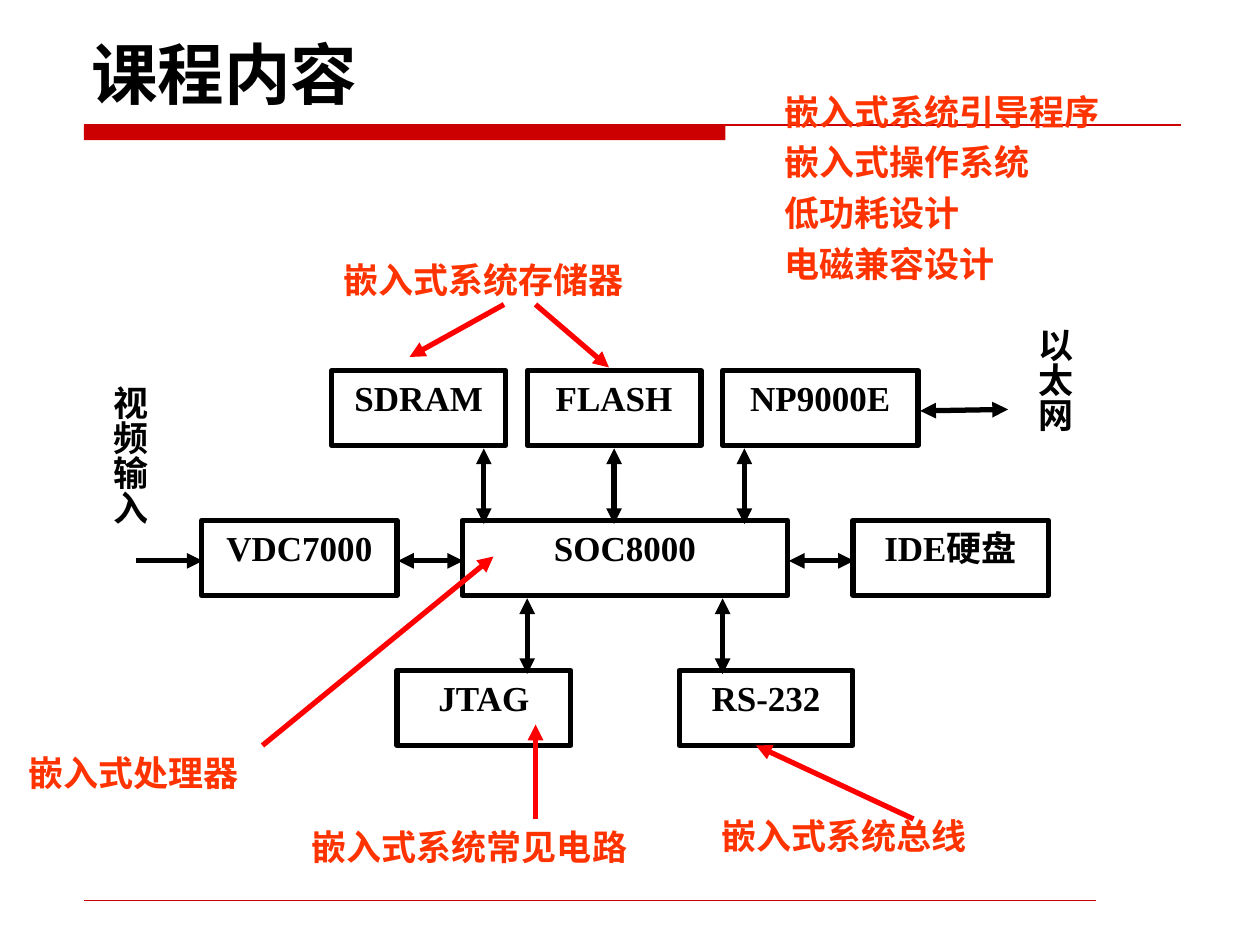
from dataclasses import dataclass

from lxml import etree
from pptx import Presentation, util as u
from pptx.dml.color import RGBColor
from pptx.enum import shapes, text as t
from pptx.oxml.ns import qn

BLACK = RGBColor(0x00, 0x00, 0x00)
RED = RGBColor(0xFF, 0x00, 0x00)
ORANGE = RGBColor(0xFF, 0x33, 0x00)
CRIMSON = RGBColor(0xCC, 0x00, 0x00)


@dataclass
class Grid:
    left: float
    top: float
    col: float
    row: float

    def spot(self, x, y):
        return u.Inches(self.left + x * self.col), u.Inches(self.top + y * self.row)

    def area(self, x, y, w, h):
        return *self.spot(x, y), u.Inches(w * self.col), u.Inches(h * self.row)


PAGE = Grid(0, 0, 10 / 240, 7.5 / 180)
CHIPS = Grid(1.6, 2.94, 0.1723, 0.595)


def write(frame, lines, size=20, font="Times New Roman", color=BLACK,
          align=t.PP_ALIGN.CENTER, anchor=t.MSO_ANCHOR.TOP, gap=5):
    frame.word_wrap = True
    frame.auto_size = t.MSO_AUTO_SIZE.NONE
    frame.vertical_anchor = anchor
    for i, line in enumerate(lines):
        para = frame.paragraphs[0] if i == 0 else frame.add_paragraph()
        para.alignment = align
        if i:
            para.space_before = u.Pt(gap)
        run = para.add_run()
        run.text = line
        run.font.size = u.Pt(size)
        run.font.name = font
        run.font.bold = True
        run.font.color.rgb = color


class Sheet:
    def __init__(self, deck):
        self.slide = deck.slides.add_slide(deck.slide_layouts[5])
        self.items = self.slide.shapes

    def title(self, words, *area):
        head = self.items.title
        head.left, head.top, head.width, head.height = PAGE.area(*area)
        write(head.text_frame, [words], size=38, font="DejaVu Sans",
              align=t.PP_ALIGN.LEFT, anchor=t.MSO_ANCHOR.BOTTOM)

    def bar(self, *area):
        bar = self.items.add_shape(shapes.MSO_SHAPE.RECTANGLE, *PAGE.area(*area))
        bar.shadow.inherit = False
        bar.fill.solid()
        bar.fill.fore_color.rgb = CRIMSON
        bar.line.fill.background()

    def chip(self, name, x, y, w):
        box = self.items.add_shape(shapes.MSO_SHAPE.RECTANGLE, *CHIPS.area(x, y, w, 1))
        box.shadow.inherit = False
        box.fill.background()
        box.line.color.rgb = BLACK
        box.line.width = u.Pt(3)
        write(box.text_frame, [name])

    def line(self, grid, start, end, color=BLACK, width=3, ends=("tailEnd",)):
        line = self.items.add_connector(
            shapes.MSO_CONNECTOR.STRAIGHT, *grid.spot(*start), *grid.spot(*end))
        line.line.color.rgb = color
        line.line.width = u.Pt(width)
        pen = line.line._get_or_add_ln()
        for tip in ends:
            etree.SubElement(pen, qn("a:" + tip), type="triangle")
        etree.SubElement(line._element.spPr, qn("a:effectLst"))

    def note(self, lines, x, y, w, h=10.5):
        box = self.items.add_textbox(*PAGE.area(x, y, w, h))
        write(box.text_frame, lines, font="Arial", color=ORANGE, align=t.PP_ALIGN.LEFT)

    def tower(self, words, *area):
        """Add a label whose characters run from top to bottom."""
        box = self.items.add_textbox(*PAGE.area(*area))
        frame = box.text_frame
        write(frame, [words])
        frame.margin_left = frame.margin_right = u.Inches(0.05)
        frame.margin_top = frame.margin_bottom = u.Inches(0.1)
        frame._txBody.bodyPr.set("vert", "eaVert")


def main():
    deck = Presentation()
    deck.slide_width, deck.slide_height = u.Inches(10), u.Inches(7.5)
    sheet = Sheet(deck)

    sheet.bar(16, 23.8, 122.2, 2.9)
    sheet.line(PAGE, (16, 23.8), (225, 23.8), CRIMSON, 0.75, ())
    sheet.line(PAGE, (16, 171.4), (208.8, 171.4), CRIMSON, 0.25, ())
    sheet.title("课程内容", 15, 3, 210, 19.7)

    for chip in [
        ("SDRAM", 6, 0, 8), ("FLASH", 15, 0, 8), ("NP9000E", 24, 0, 9),
        ("VDC7000", 0, 2, 9), ("SOC8000", 12, 2, 15), ("IDE硬盘", 30, 2, 9),
        ("JTAG", 9, 4, 8), ("RS-232", 22, 4, 8),
    ]:
        sheet.chip(*chip)

    both = ("headEnd", "tailEnd")
    for x, y in [(13, 1), (19, 1), (25, 1), (15, 3), (24, 3)]:
        sheet.line(CHIPS, (x, y + 0.04), (x, y + 1.05), ends=both)
    for x in (9, 27):
        sheet.line(CHIPS, (x + 0.05, 2.54), (x + 3.05, 2.54), ends=both)
    sheet.line(CHIPS, (33.1, 0.54), (37.15, 0.52), ends=both)
    sheet.line(CHIPS, (-3, 2.54), (0.05, 2.54))

    sheet.tower("视频输入", 18, 71, 12, 35.8)
    sheet.tower("以太网", 193.5, 60, 12.7, 35.8)

    sheet.note(["嵌入式系统总线"], 135, 154, 69.6)
    sheet.note(["嵌入式系统存储器"], 63, 48, 76)
    sheet.note(["嵌入式处理器"], 3, 142, 63)
    sheet.note(["嵌入式系统常见电路"], 57, 156, 83)
    sheet.note(["嵌入式系统引导程序", "嵌入式操作系统", "低功耗设计", "电磁兼容设计"],
               147, 16, 83, 39.4)

    for start, end in [
        ((50, 142), (94, 106)), ((174, 156), (144, 142)), ((102, 156), (102, 138)),
        ((96, 58), (78, 68)), ((102, 58), (116, 70)),
    ]:
        sheet.line(PAGE, start, end, RED)

    deck.save("out.pptx")


if __name__ == "__main__":
    main()
